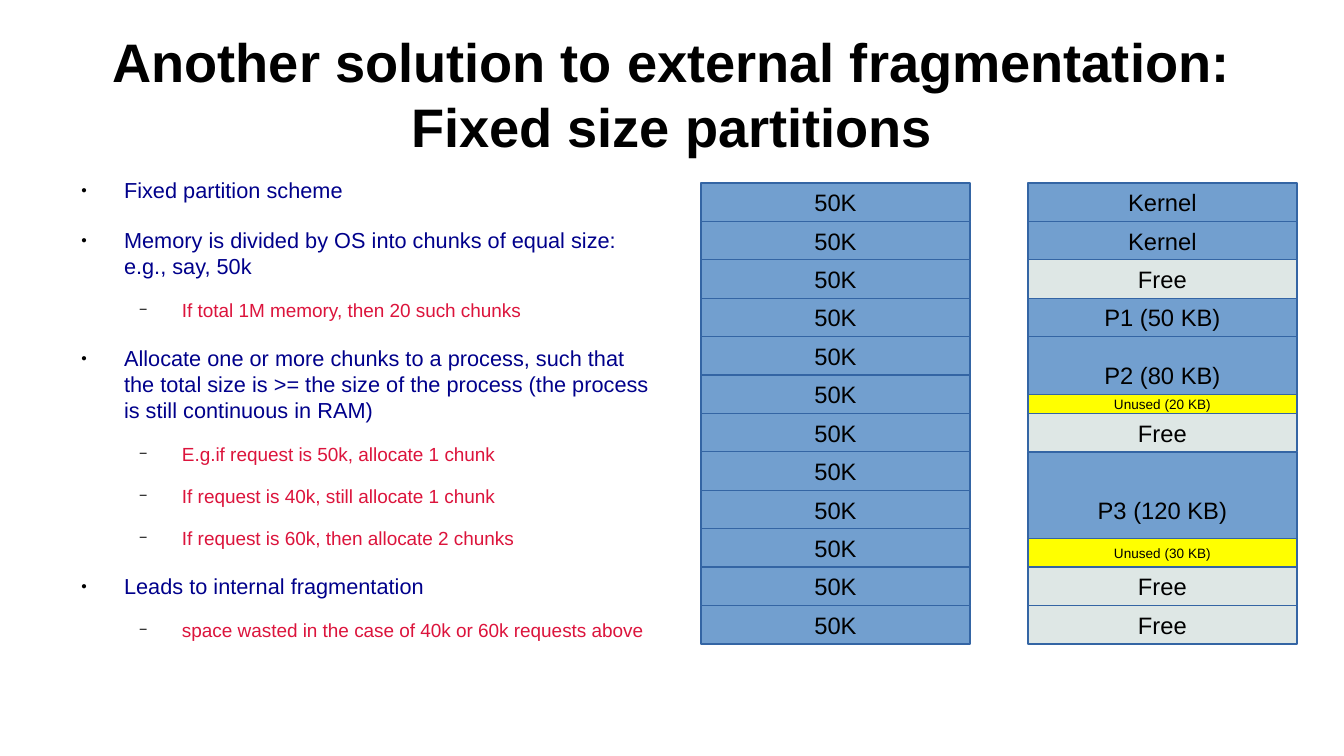
from dataclasses import dataclass

from lxml import etree
from pptx import Presentation
from pptx import util as u
from pptx.dml.color import RGBColor
from pptx.enum import shapes, text
from pptx.oxml import ns

TITLE = "Another solution to external fragmentation: Fixed size partitions"
POINTS = [
    (0, "Fixed partition scheme"),
    (0, "Memory is divided by OS into chunks of equal size: e.g., say, 50k"),
    (1, "If total 1M memory, then 20 such chunks"),
    (0, "Allocate one or more chunks to a process, such that the total size is >= "
        "the size of the process (the process is still continuous in RAM)"),
    (1, "E.g.if request is 50k, allocate 1 chunk"),
    (1, "If request is 40k, still allocate 1 chunk"),
    (1, "If request is 60k, then allocate 2 chunks"),
    (0, "Leads to internal fragmentation"),
    (1, "space wasted in the case of 40k or 60k requests above"),
]
CHUNKS = 12
EMPTY_MEMORY = [(i, 1, "50K", "used") for i in range(CHUNKS)]
ALLOCATED_MEMORY = [
    (0, 1, "Kernel", "used"),
    (1, 1, "Kernel", "used"),
    (2, 1, "Free", "free"),
    (3, 1, "P1 (50 KB)", "used"),
    (4, 2, "P2 (80 KB)", "used"),
    (5.5, 0.5, "Unused (20 KB)", "unused"),
    (6, 1, "Free", "free"),
    (7, 3, "P3 (120 KB)", "used"),
    (9.25, 0.75, "Unused (30 KB)", "unused"),
    (10, 1, "Free", "free"),
    (11, 1, "Free", "free"),
]


@dataclass(frozen=True)
class Theme:
    font = "Arial"
    ink = "000000"
    outline = "3465A4"
    title_size = 32
    fills = {"used": "729FCF", "free": "DEE7E5", "unused": "FFFF00"}
    label_sizes = {"used": 14, "free": 14, "unused": 8}
    point_colors = ("00008B", "DC143C")
    point_sizes = (12.8, 11.2)
    point_gaps = (14.2, 11.3)
    bullets = (("●", 45), ("−", 75))


theme = Theme()
PX = 914400 / 122
SLIDE = (1344, 756)
TITLE_BOX = (67, 20, 1210, 147)
POINTS_BOX = (67, 177, 590, 439)
INDENT, HANGING = 57, -43
MEMORY_TOP, MEMORY_HEIGHT, MEMORY_WIDTH = 183, 461, 269
EMPTY_LEFT, ALLOCATED_LEFT = 701, 1028


def px(length):
    return u.Emu(round(length * PX))


def place(part, box):
    part.left, part.top, part.width, part.height = map(px, box)


def write(paragraph, words, size, color, bold=False):
    run = paragraph.add_run()
    run.text = words
    run.font.name = theme.font
    run.font.size = u.Pt(size)
    run.font.bold = bold
    run.font.color.rgb = RGBColor.from_string(color)


def clear_margins(frame):
    frame.margin_left = frame.margin_top = 0
    frame.margin_right = frame.margin_bottom = 0
    frame.auto_size = text.MSO_AUTO_SIZE.NONE
    frame.word_wrap = True


def add_bullet(paragraph, level):
    mark, percent = theme.bullets[level]
    props = paragraph._p.get_or_add_pPr()
    props.set("marL", str(px(INDENT * (level + 1) + level)))
    props.set("indent", str(px(HANGING)))
    color = etree.SubElement(props, ns.qn("a:buClr"))
    etree.SubElement(color, ns.qn("a:srgbClr"), val=theme.ink)
    etree.SubElement(props, ns.qn("a:buSzPct"), val=str(percent * 1000))
    etree.SubElement(props, ns.qn("a:buFont"), typeface=theme.font)
    etree.SubElement(props, ns.qn("a:buChar"), char=mark)


def add_title(slide):
    title = slide.shapes.title
    place(title, TITLE_BOX)
    frame = title.text_frame
    clear_margins(frame)
    frame.vertical_anchor = text.MSO_ANCHOR.MIDDLE
    heading = frame.paragraphs[0]
    heading.alignment = text.PP_ALIGN.CENTER
    write(heading, TITLE, theme.title_size, theme.ink, bold=True)


def add_points(slide):
    body = slide.placeholders[1]
    place(body, POINTS_BOX)
    frame = body.text_frame
    clear_margins(frame)
    for i, (level, words) in enumerate(POINTS):
        point = frame.add_paragraph() if i else frame.paragraphs[0]
        point.level = level
        add_bullet(point, level)
        point.space_before = u.Pt(theme.point_gaps[level] if i else 0)
        write(point, words, theme.point_sizes[level], theme.point_colors[level])


def add_memory(slide, left, blocks):
    chunk = MEMORY_HEIGHT / CHUNKS
    for start, count, label, state in blocks:
        block = slide.shapes.add_shape(
            shapes.MSO_SHAPE.RECTANGLE, px(left), px(MEMORY_TOP + start * chunk),
            px(MEMORY_WIDTH), px(count * chunk))
        block.shadow.inherit = False
        block.fill.solid()
        block.fill.fore_color.rgb = RGBColor.from_string(theme.fills[state])
        block.line.color.rgb = RGBColor.from_string(theme.outline)
        block.line.width = u.Pt(0)
        frame = block.text_frame
        frame.word_wrap = False
        frame.vertical_anchor = text.MSO_ANCHOR.MIDDLE
        caption = frame.paragraphs[0]
        caption.alignment = text.PP_ALIGN.CENTER
        write(caption, label, theme.label_sizes[state], theme.ink)


def main():
    deck = Presentation()
    deck.slide_width, deck.slide_height = map(px, SLIDE)
    slide = deck.slides.add_slide(deck.slide_layouts[1])
    add_title(slide)
    add_points(slide)
    add_memory(slide, EMPTY_LEFT, EMPTY_MEMORY)
    add_memory(slide, ALLOCATED_LEFT, ALLOCATED_MEMORY)
    deck.save("out.pptx")


if __name__ == "__main__":
    main()
